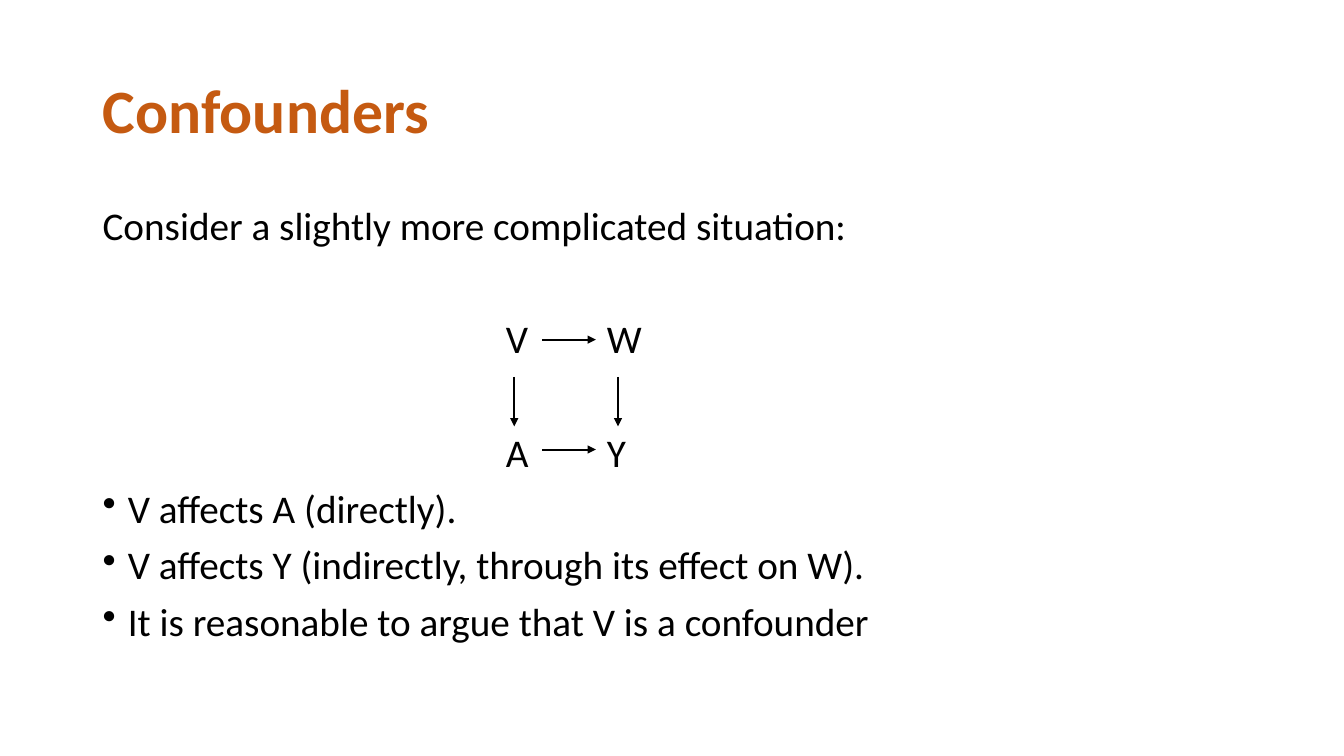
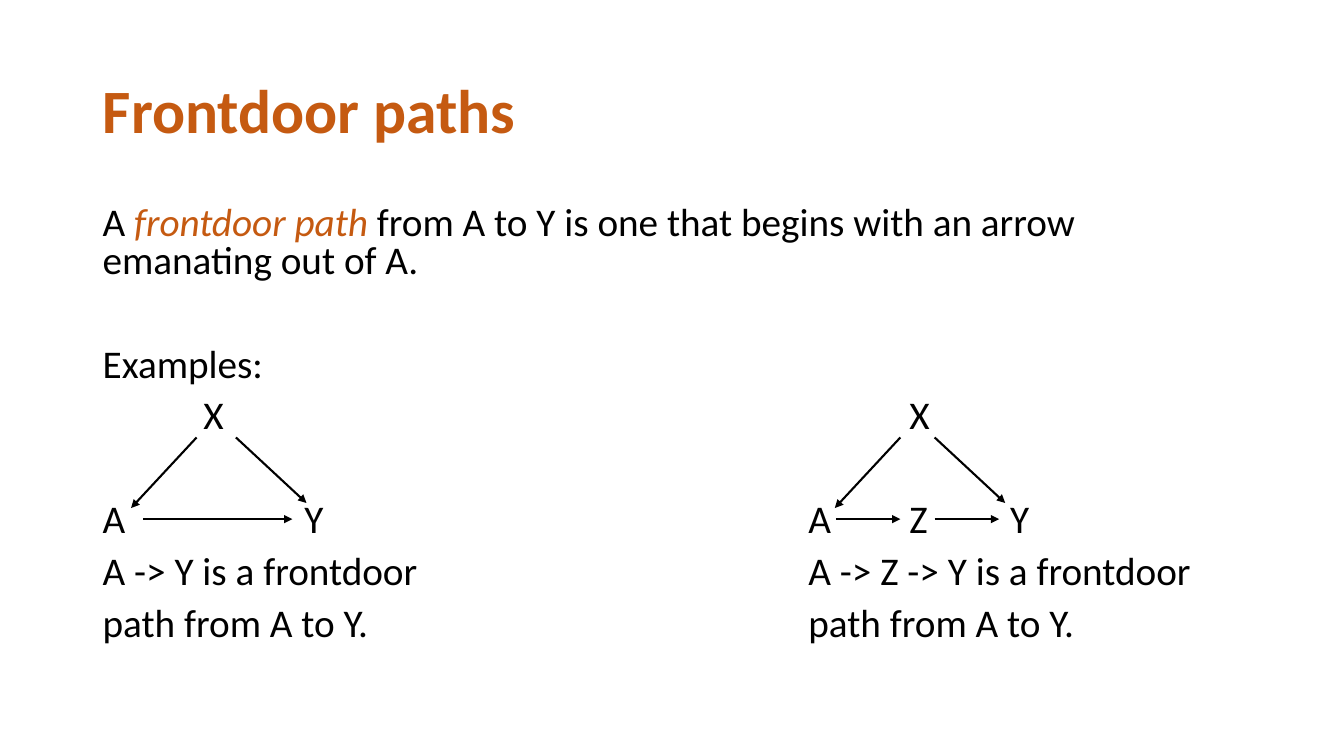
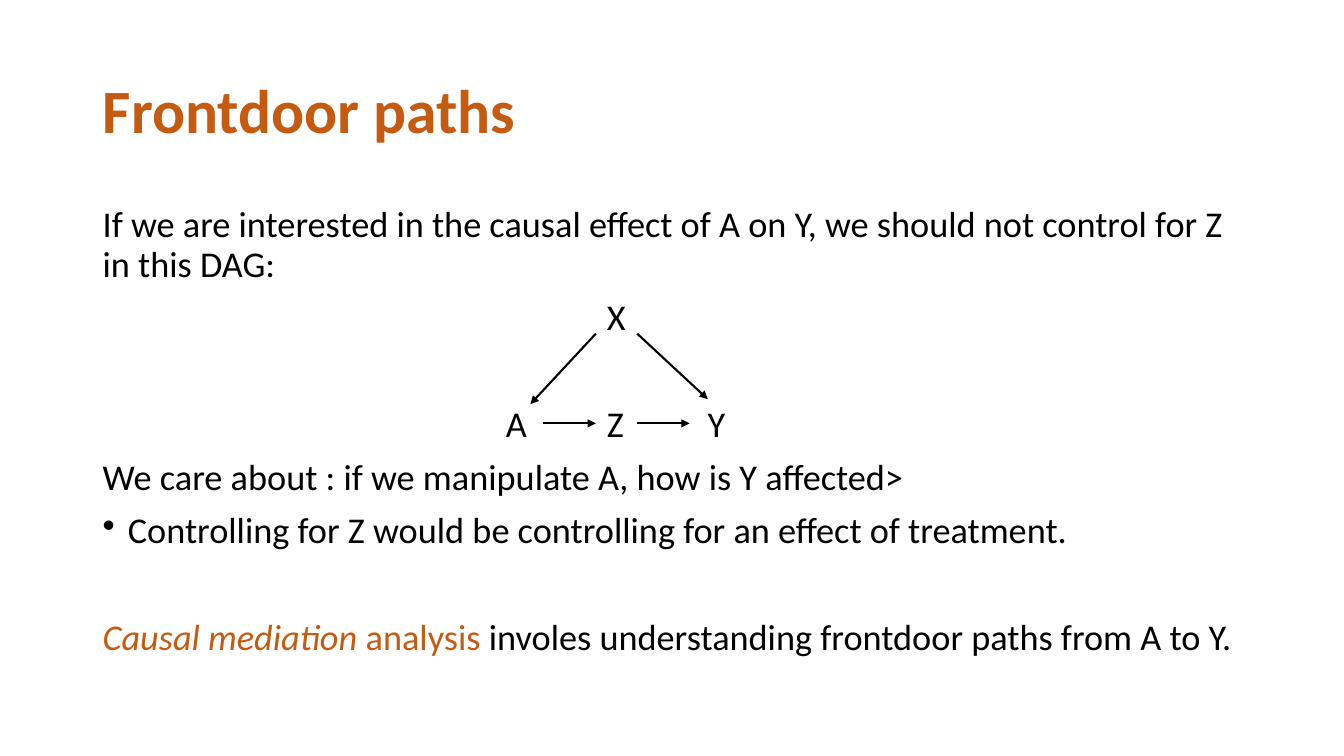
import dataclasses

import lxml.etree
import pptx
import pptx.dml.color
import pptx.enum.shapes
import pptx.enum.text
import pptx.oxml.ns
import pptx.util

FONT = "Calibri"
ACCENT = "C55A11"
INK = "000000"
LEFT, WIDTH = 0.92, 11.5
TITLE_TOP, TITLE_HEIGHT = 0.4, 1.45
BODY_TOP, BODY_HEIGHT = 2, 4.76
INSET = 0.1
COLUMN = ROW = 1
BULLET_INDENT = 0.25
PARAGRAPH_GAP = 10
FONT_LINE = 1.22


@dataclasses.dataclass
class Line:
    phrases: list
    stops: tuple = ()
    bullet: bool = False
    blank_above: bool = False


def plain(text, **options):
    return Line([(text, INK, False)], **options)


def rgb(hex_code):
    return pptx.dml.color.RGBColor.from_string(hex_code)


def child(parent, tag, **attributes):
    return lxml.etree.SubElement(parent, pptx.oxml.ns.qn(tag), attributes)


def style_run(run, size, color, bold=False, italic=False):
    run.font.name = FONT
    run.font.size = pptx.util.Pt(size)
    run.font.color.rgb = rgb(color)
    run.font.bold = bold
    run.font.italic = italic


def add_titled_slide(deck, heading):
    slide = deck.slides.add_slide(deck.slide_layouts[5])
    title = slide.shapes.title
    title.left, title.top, title.width, title.height = map(
        pptx.util.Inches, (LEFT, TITLE_TOP, WIDTH, TITLE_HEIGHT))
    frame = title.text_frame
    frame.text = heading
    frame.auto_size = pptx.enum.text.MSO_AUTO_SIZE.NONE
    frame.vertical_anchor = pptx.enum.text.MSO_ANCHOR.MIDDLE
    paragraph = frame.paragraphs[0]
    paragraph.alignment = pptx.enum.text.PP_ALIGN.LEFT
    paragraph.line_spacing = 0.9
    style_run(paragraph.runs[0], 44, ACCENT, bold=True)
    return slide


def format_indents(paragraph, line):
    properties = paragraph._p.get_or_add_pPr()
    if line.bullet:
        indent = pptx.util.Inches(BULLET_INDENT)
        properties.set("marL", str(indent))
        properties.set("indent", str(-indent))
        child(properties, "a:buChar", char="•")
    if line.stops:
        tabs = child(properties, "a:tabLst")
        for stop in line.stops:
            child(tabs, "a:tab", pos=str(pptx.util.Inches(stop * COLUMN)), algn="l")


def add_body(slide, lines, size=28, spacing=0.9):
    body = slide.shapes.add_textbox(*map(
        pptx.util.Inches, (LEFT, BODY_TOP, WIDTH, BODY_HEIGHT)))
    frame = body.text_frame
    frame.word_wrap = True
    blank = PARAGRAPH_GAP + FONT_LINE * size * spacing
    for index, line in enumerate(lines):
        paragraph = frame.add_paragraph() if index else frame.paragraphs[0]
        paragraph.line_spacing = spacing
        gap = PARAGRAPH_GAP + (blank if line.blank_above else 0)
        paragraph.space_before = pptx.util.Pt(gap)
        format_indents(paragraph, line)
        for text, color, italic in line.phrases:
            run = paragraph.add_run()
            run.text = text
            style_run(run, size, color, italic=italic)


def add_arrow(slide, start, end):
    points = [
        pptx.util.Inches(length)
        for column, row in (start, end)
        for length in (LEFT + INSET + column * COLUMN, BODY_TOP + row * ROW)]
    arrow = slide.shapes.add_connector(
        pptx.enum.shapes.MSO_CONNECTOR.STRAIGHT, *points)
    arrow.line.color.rgb = rgb(INK)
    arrow.line.width = pptx.util.Pt(1.5)
    child(arrow.line._get_or_add_ln(), "a:tailEnd", type="triangle")
    child(arrow._element.spPr, "a:effectLst")


def add_across(slide, row, *spans):
    for start, end in spans:
        add_arrow(slide, (start, row), (end, row))


def add_fork(slide, left, right, row):
    add_arrow(slide, (left, row), (left - 0.65, row + 0.7))
    add_arrow(slide, (right, row), (right + 0.7, row + 0.65))


def add_confounders(deck):
    slide = add_titled_slide(deck, "Confounders")
    add_body(slide, [
        plain("Consider a slightly more complicated situation:"),
        plain("\tV\tW", stops=(4, 5), blank_above=True),
        plain("\tA\tY", stops=(4, 5), blank_above=True),
        plain("V affects A (directly).", bullet=True),
        plain("V affects Y (indirectly, through its effect on W).", bullet=True),
        plain("It is reasonable to argue that V is a confounder", bullet=True),
    ])
    for column in (4.08, 5.11):
        add_arrow(slide, (column, 1.74), (column, 2.23))
    for row in (1.37, 2.46):
        add_across(slide, row, (4.36, 4.89))


def add_frontdoor_examples(deck):
    slide = add_titled_slide(deck, "Frontdoor paths")
    add_body(slide, [
        Line([("A ", INK, False),
              ("frontdoor path ", ACCENT, True),
              ("from A to Y is one that begins with an arrow emanating out of A.",
               INK, False)]),
        plain("Examples:", blank_above=True),
        plain("\tX\tX", stops=(1, 8)),
        plain("A\tY\tA\tZ\tY", stops=(2, 7, 8, 9), blank_above=True),
        plain("A -> Y is a frontdoor\tA -> Z -> Y is a frontdoor", stops=(7,)),
        plain("path from A to Y.\tpath from A to Y.", stops=(7,)),
    ], spacing=0.8)
    add_fork(slide, 0.93, 1.32, 2.34)
    add_fork(slide, 7.91, 8.25, 2.34)
    add_across(slide, 3.15, (0.4, 1.88), (7.27, 7.91), (8.25, 8.89))


def add_mediation(deck):
    slide = add_titled_slide(deck, "Frontdoor paths")
    add_body(slide, [
        plain("If we are interested in the causal effect of A on Y, "
              "we should not control for Z in this DAG:"),
        plain("\tX", stops=(5,)),
        plain("\tA\tZ\tY", stops=(4, 5, 6), blank_above=True),
        plain("We care about : if we manipulate A, how is Y affected>"),
        plain("Controlling for Z would be controlling for an effect of treatment.",
              bullet=True),
        Line([("Causal mediation", ACCENT, True),
              (" analysis ", ACCENT, False),
              ("involes understanding frontdoor paths from A to Y.", INK, False)],
             blank_above=True),
    ], size=25.9)
    add_fork(slide, 4.89, 5.3, 1.31)
    add_across(slide, 2.2, (4.37, 4.89), (5.3, 5.82))


def main():
    deck = pptx.Presentation()
    deck.slide_width = pptx.util.Inches(13.33)
    deck.slide_height = pptx.util.Inches(7.5)
    add_confounders(deck)
    add_frontdoor_examples(deck)
    add_mediation(deck)
    deck.save("out.pptx")


main()
